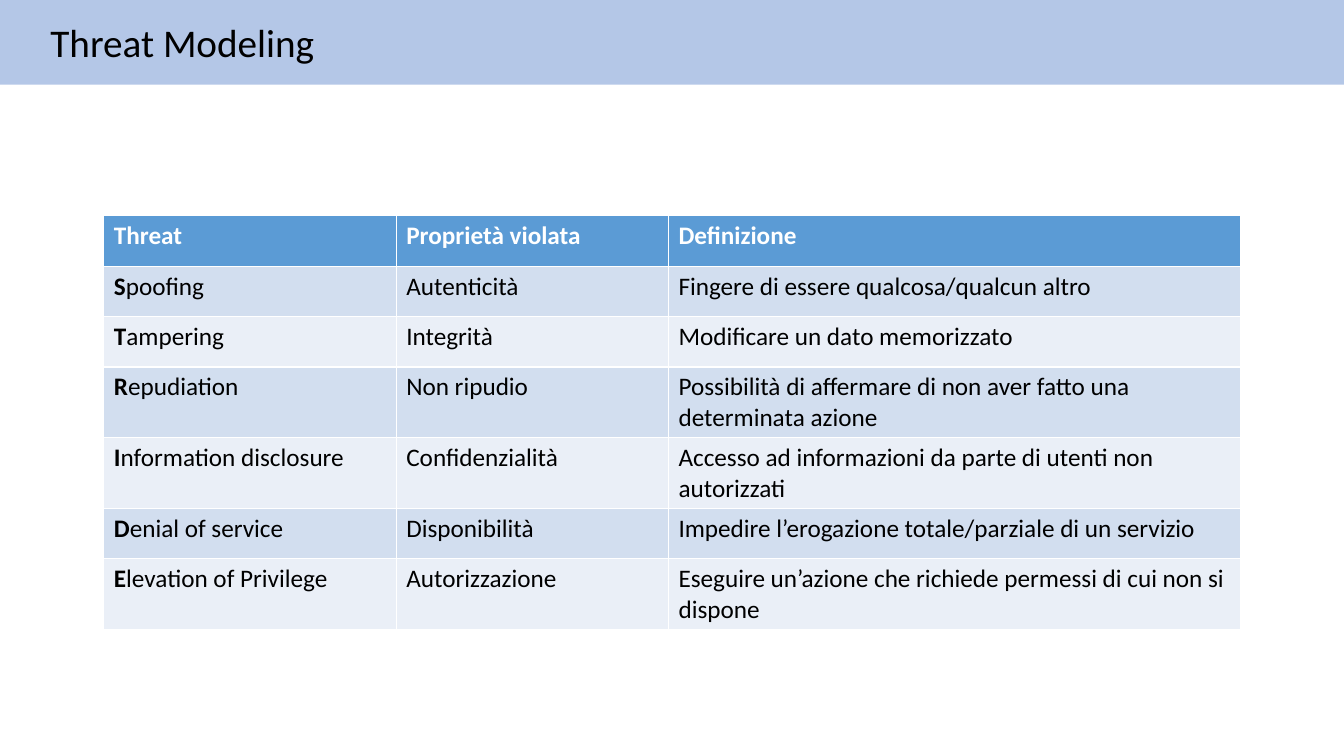
from pptx import Presentation
from pptx.dml.color import RGBColor
from pptx.enum.shapes import MSO_SHAPE
from pptx.enum.text import MSO_ANCHOR, MSO_AUTO_SIZE, PP_ALIGN
from pptx.util import Inches, Pt

HEADINGS = ["Threat", "Proprietà violata", "Definizione"]
THREATS = [
    ("Spoofing", "Autenticità", "Fingere di essere qualcosa/qualcun altro"),
    ("Tampering", "Integrità", "Modificare un dato memorizzato"),
    ("Repudiation", "Non ripudio",
     "Possibilità di affermare di non aver fatto una determinata azione"),
    ("Information disclosure", "Confidenzialità",
     "Accesso ad informazioni da parte di utenti non autorizzati"),
    ("Denial of service", "Disponibilità",
     "Impedire l’erogazione totale/parziale di un servizio"),
    ("Elevation of Privilege", "Autorizzazione",
     "Eseguire un’azione che richiede permessi di cui non si dispone"),
]


def paint(fill, color):
    fill.solid()
    fill.fore_color.rgb = RGBColor.from_string(color)


def add_text(para, text, size=18, color="000000", bold=False, font="Calibri"):
    span = para.add_run()
    span.text = text
    span.font.name = font
    span.font.size = Pt(size)
    span.font.bold = bold
    span.font.color.rgb = RGBColor.from_string(color)


class ThreatPage:
    band_color = "B4C7E7"
    heading_color = "5B9BD5"
    row_colors = ("D2DEEF", "EAEFF7")

    def __init__(self, deck):
        self.page = deck.slides.add_slide(deck.slide_layouts[5])
        paint(self.page.background.fill, "FFFFFF")

    def add_band(self, width, height):
        band = self.page.shapes.add_shape(
            MSO_SHAPE.RECTANGLE, 0, 0, Inches(width), Inches(height))
        band.shadow.inherit = False
        paint(band.fill, self.band_color)
        band.line.fill.background()
        self.page.shapes.title.element.addprevious(band.element)

    def set_title(self, text, left, top, width, height):
        box = self.page.shapes.title
        box.left, box.top = Inches(left), Inches(top)
        box.width, box.height = Inches(width), Inches(height)
        frame = box.text_frame
        frame.word_wrap = True
        frame.auto_size = MSO_AUTO_SIZE.SHAPE_TO_FIT_TEXT
        frame.vertical_anchor = MSO_ANCHOR.TOP
        para = frame.paragraphs[0]
        para.alignment = PP_ALIGN.LEFT
        add_text(para, text, size=28)

    def add_table(self, left, top, widths, row_height):
        row_count = len(THREATS) + 1
        table = self.page.shapes.add_table(
            row_count, len(widths), Inches(left), Inches(top),
            Inches(sum(widths)), Inches(row_height * row_count)).table
        for column, width in zip(table.columns, widths):
            column.width = Inches(width)
        for cell, heading in zip(table.rows[0].cells, HEADINGS):
            paint(cell.fill, self.heading_color)
            add_text(cell.text_frame.paragraphs[0], heading,
                     color="FFFFFF", bold=True)
        for index, threat in enumerate(THREATS):
            cells = table.rows[index + 1].cells
            for column, (cell, text) in enumerate(zip(cells, threat)):
                paint(cell.fill, self.row_colors[index % 2])
                para = cell.text_frame.paragraphs[0]
                if column == 0:
                    add_text(para, text[0], bold=True)
                    text = text[1:]
                add_text(para, text)


def main():
    deck = Presentation()
    deck.slide_width, deck.slide_height = Inches(13.33), Inches(7.5)
    threat_page = ThreatPage(deck)
    threat_page.add_band(13.33, 0.84)
    threat_page.set_title("Threat Modeling", 0.4, 0.13, 12.93, 0.57)
    threat_page.add_table(1.03, 2.14, [2.9, 2.7, 5.67], 0.5)
    deck.save("out.pptx")


if __name__ == "__main__":
    main()
